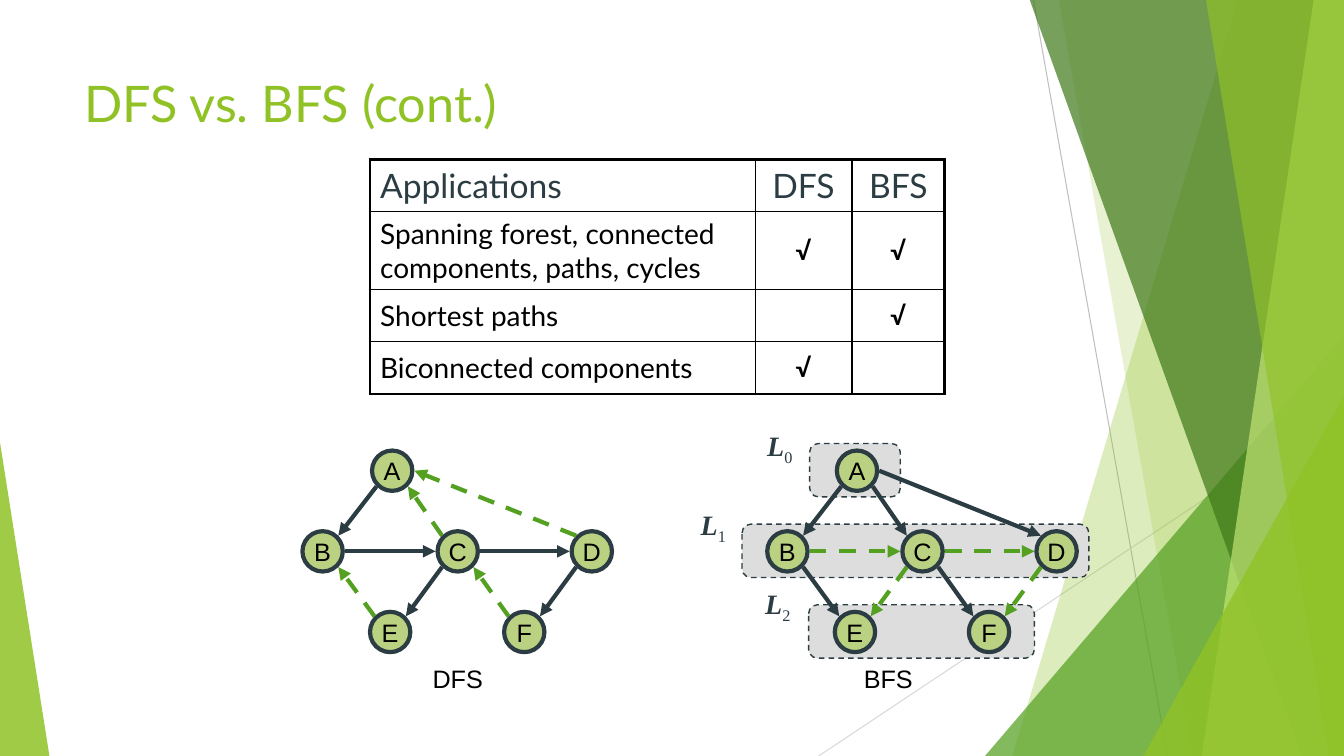
"""Build the slide comparing applications of DFS and BFS."""
from math import sqrt

from lxml import etree
from pptx import Presentation
from pptx.dml.color import RGBColor
from pptx.enum.dml import MSO_LINE
from pptx.enum.shapes import MSO_CONNECTOR, MSO_SHAPE
from pptx.enum.text import MSO_ANCHOR, PP_ALIGN
from pptx.oxml.ns import qn
from pptx.util import Inches, Pt

LEFT, CENTER = PP_ALIGN.LEFT, PP_ALIGN.CENTER
TOP, MIDDLE = MSO_ANCHOR.TOP, MSO_ANCHOR.MIDDLE
DASH = MSO_LINE.DASH
STRAIGHT = MSO_CONNECTOR.STRAIGHT
OVAL, ROUNDED = MSO_SHAPE.OVAL, MSO_SHAPE.ROUNDED_RECTANGLE
TRIANGLE = MSO_SHAPE.ISOSCELES_TRIANGLE

BLACK = RGBColor(0x00, 0x00, 0x00)
SLATE = RGBColor(0x2C, 0x3C, 0x43)
LIME = RGBColor(0x90, 0xC2, 0x26)
GREEN = RGBColor(0x54, 0xA0, 0x21)
FOREST = RGBColor(0x3F, 0x78, 0x19)
PALE_LIME = RGBColor(0xC0, 0xE4, 0x74)
NODE_FILL = RGBColor(0xB9, 0xD1, 0x81)
LEVEL_FILL = RGBColor(0xDD, 0xDD, 0xDD)
GRAY = RGBColor(0xBF, 0xBF, 0xBF)
LIGHT_GRAY = RGBColor(0xD9, 0xD9, 0xD9)

WIDTH, HEIGHT = 13.33, 7.5
TITLE = "DFS vs. BFS (cont.)"
HAIRLINES = [((10.25, 0), (11.58, HEIGHT), GRAY), ((WIDTH, 4.03), (8.12, HEIGHT), LIGHT_GRAY)]
BANDS = [
    ("band", 12.28, 10.04, LIME, 30),
    ("band", 10.5, 11.83, LIME, 20),
    ("triangle", (9.77, 3.33, 3.56, 4.17), 1, GREEN, 72),
    ("band", 10.21, 12.91, FOREST, 70),
    ("band", 13.03, 11.92, PALE_LIME, 70),
    ("band", 11.96, 13.18, LIME, 65),
    ("triangle", (11.34, 3.93, 1.99, 3.57), 1, LIME, 80),
    ("triangle", (0, 4.39, 0.49, 3.11), 0, LIME, 85),
]

APPLICATIONS = [
    ("Applications", "DFS", "BFS"),
    ("Spanning forest, connected components, paths, cycles", "√", "√"),
    ("Shortest paths", "", "√"),
    ("Biconnected components", "√", ""),
]
COLUMN_WIDTHS = (3.82, 0.96, 0.92)
ROW_HEIGHTS = (0.52, 0.77, 0.52, 0.52)

NODES = {"A": (3.89, 4.67), "B": (3.2, 5.47), "C": (4.54, 5.47),
         "D": (5.87, 5.47), "E": (3.87, 6.27), "F": (5.2, 6.27)}
NODE_SIZE = 0.4
EDGE_GAP = 0.22
GRAPHS = [
    {"name": "DFS", "shift": 0, "caption_left": 3.67,
     "solid": "AB BC CD CE DF", "dashed": "CA DA EB FC"},
    {"name": "BFS", "shift": 4.61, "caption_left": 7.94,
     "solid": "AB AC AD BE CF", "dashed": "BC CD CE DF"},
]
LEVELS = [
    ("0", (8.03, 4.4, 0.9, 0.53), (7.48, 4.2)),
    ("1", (7.36, 5.2, 3.44, 0.53), (6.82, 4.99)),
    ("2", (8.02, 6, 2.24, 0.53), (7.46, 5.77)),
]


def write(frame, text, size=18, font="Arial", color=BLACK, align=CENTER, anchor=TOP,
          bold=False, italic=False, subscript="", wrap=True):
    """Fill a text frame with one formatted paragraph."""
    frame.word_wrap = wrap
    frame.vertical_anchor = anchor
    paragraph = frame.paragraphs[0]
    paragraph.alignment = align
    for part, is_subscript in ((text, False), (subscript, True)):
        if not part:
            continue
        run = paragraph.add_run()
        run.text = part
        run.font.name, run.font.size = font, Pt(size)
        run.font.color.rgb = color
        run.font.bold = bold and not is_subscript
        run.font.italic = italic and not is_subscript
        if is_subscript:
            run._r.get_or_add_rPr().set("baseline", "-25000")


def add_text(slide, box, text, **style):
    write(slide.shapes.add_textbox(*map(Inches, box)).text_frame, text, **style)


def paint(shape, fill, line=None, width=1, dash=None, opacity=100):
    shape.shadow.inherit = False
    shape.fill.solid()
    shape.fill.fore_color.rgb = fill
    if opacity < 100:
        color = shape._element.spPr.find(qn("a:solidFill"))[0]
        etree.SubElement(color, qn("a:alpha")).set("val", str(opacity * 1000))
    if line is None:
        shape.line.fill.background()
        return
    shape.line.color.rgb = line
    shape.line.width = Pt(width)
    if dash:
        shape.line.dash_style = dash


def add_line(slide, start, end, color, width, dash=None, arrow=False):
    connector = slide.shapes.add_connector(STRAIGHT, *map(Inches, (*start, *end)))
    connector.line.color.rgb = color
    connector.line.width = Pt(width)
    if dash:
        connector.line.dash_style = dash
    if arrow:
        line = connector._element.spPr.find(qn("a:ln"))
        etree.SubElement(line, qn("a:tailEnd")).set("type", "triangle")
    etree.SubElement(connector._element.spPr, qn("a:effectLst"))


def add_background(slide):
    for start, end, color in HAIRLINES:
        add_line(slide, start, end, color, 0.75)
    for kind, place, foot, color, opacity in BANDS:
        if kind == "band":
            corners = [(place, -0.01), (WIDTH, -0.01), (WIDTH, HEIGHT), (foot, HEIGHT)]
            points = [(Inches(x), Inches(y)) for x, y in corners]
            builder = slide.shapes.build_freeform(*points[0])
            builder.add_line_segments(points[1:], close=True)
            shape = builder.convert_to_shape()
        else:
            shape = slide.shapes.add_shape(TRIANGLE, *map(Inches, place))
            shape.adjustments[0] = foot
        paint(shape, color, opacity=opacity)


def set_borders(cell, widths):
    properties = cell._tc.get_or_add_tcPr()
    for index, (side, width) in enumerate(zip("LRTB", widths)):
        line = etree.Element(qn(f"a:ln{side}"), w=str(Pt(width)))
        fill = etree.SubElement(line, qn("a:solidFill"))
        etree.SubElement(fill, qn("a:srgbClr")).set("val", str(BLACK))
        properties.insert(index, line)


def add_applications(slide):
    rows, columns = len(ROW_HEIGHTS), len(COLUMN_WIDTHS)
    box = (3.67, 1.58, sum(COLUMN_WIDTHS), sum(ROW_HEIGHTS))
    table = slide.shapes.add_table(rows, columns, *map(Inches, box)).table
    table.first_row = table.horz_banding = False
    for column, width in zip(table.columns, COLUMN_WIDTHS):
        column.width = Inches(width)
    for row, (height, texts) in enumerate(zip(ROW_HEIGHTS, APPLICATIONS)):
        table.rows[row].height = Inches(height)
        for column, text in enumerate(texts):
            cell = table.cell(row, column)
            cell.vertical_anchor = MIDDLE
            cell.fill.background()
            outer = (column == 0, column == columns - 1, row == 0, row == rows - 1)
            set_borders(cell, [2.25 if edge else 1 for edge in outer])
            size = 24 if row == 0 else 20 if column == 0 else 18
            write(cell.text_frame, text, size=size, font="Lato", anchor=MIDDLE,
                  color=SLATE if row == 0 else BLACK, bold=text == "√",
                  align=CENTER if column else LEFT)


def edge_end(node, other, shift):
    """Return the point beside a node where its edge to another node ends."""
    (x, y), (other_x, other_y) = NODES[node], NODES[other]
    side = 1 if other_x > x else -1
    long_descent = other_y > y and abs(other_x - x) > 1.5
    if y == other_y or long_descent:
        return x + shift + side * EDGE_GAP, y
    step = EDGE_GAP / sqrt(2)
    return x + shift + side * step, y + (step if other_y > y else -step)


def add_graph(slide, graph):
    shift = graph["shift"]
    for name, (x, y) in NODES.items():
        box = (x + shift - NODE_SIZE / 2, y - NODE_SIZE / 2, NODE_SIZE, NODE_SIZE)
        node = slide.shapes.add_shape(OVAL, *map(Inches, box))
        paint(node, NODE_FILL, line=SLATE, width=3)
        write(node.text_frame, name, anchor=MIDDLE, wrap=False)
    for kind, color, dash in (("solid", SLATE, None), ("dashed", GREEN, DASH)):
        for tail, head in graph[kind].split():
            add_line(slide, edge_end(tail, head, shift), edge_end(head, tail, shift),
                     color, 3, dash=dash, arrow=True)
    add_text(slide, (graph["caption_left"], 6.53, 1.74, 0.4), graph["name"])


def main():
    presentation = Presentation()
    presentation.slide_width, presentation.slide_height = Inches(WIDTH), Inches(HEIGHT)
    slide = presentation.slides.add_slide(presentation.slide_layouts[6])
    add_background(slide)
    add_text(slide, (0.74, 0.67, 9.4, 1.44), TITLE, size=36, font="Lato", color=LIME, align=LEFT)
    for number, box, label_corner in LEVELS:
        level = slide.shapes.add_shape(ROUNDED, *map(Inches, box))
        paint(level, LEVEL_FILL, line=SLATE, dash=DASH)
        add_text(slide, (*label_corner, 0.51, 0.43), "L", subscript=number, size=20,
                 font="Times New Roman", color=SLATE, bold=True, italic=True)
    for graph in GRAPHS:
        add_graph(slide, graph)
    add_applications(slide)
    presentation.save("out.pptx")


if __name__ == "__main__":
    main()
